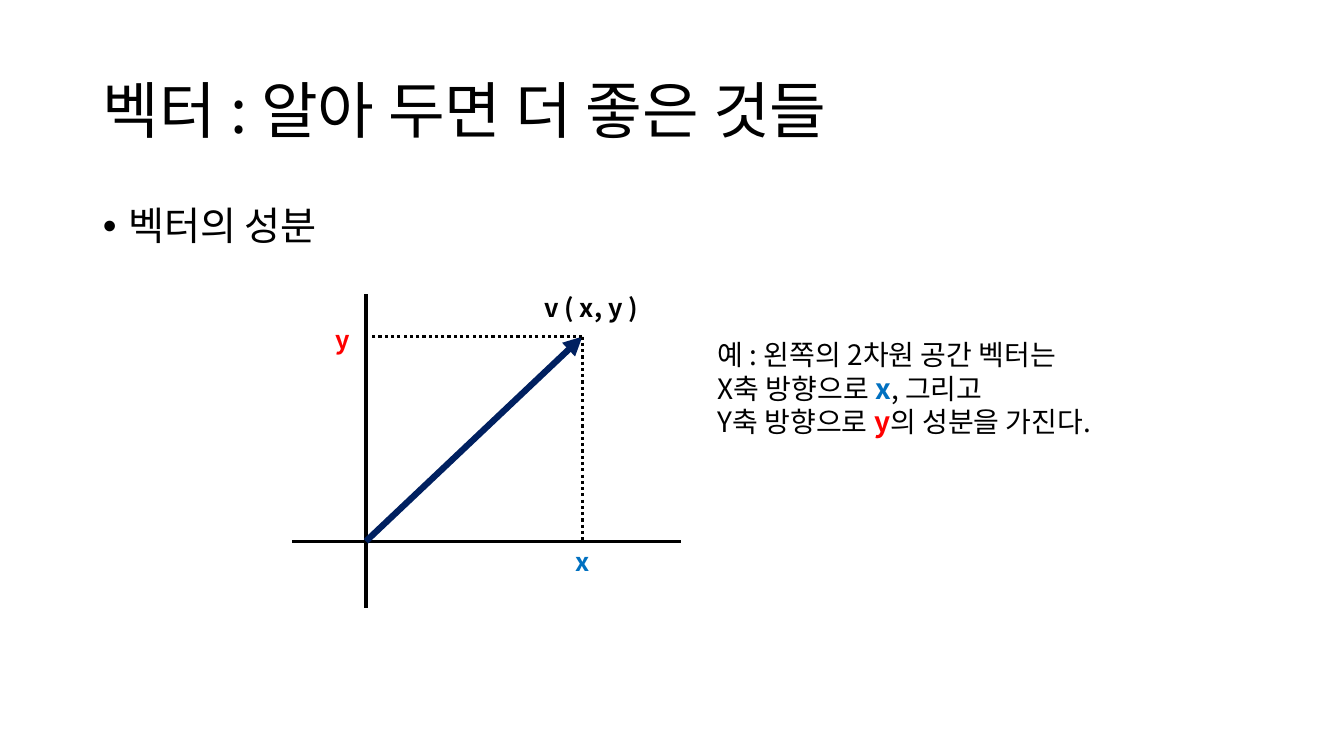
from pptx import Presentation
from pptx.dml.color import RGBColor
from pptx.enum.dml import MSO_LINE
from pptx.enum.shapes import MSO_CONNECTOR
from pptx.enum.text import MSO_ANCHOR, MSO_AUTO_SIZE, PP_ALIGN
from pptx.oxml.ns import qn
from pptx.util import Inches, Pt
from lxml.etree import SubElement

WIDE, HIGH = Inches(13.33), Inches(7.5)
FACE = "Noto Sans CJK KR"
BLACK = RGBColor(0, 0, 0)
NAVY = RGBColor(0x00, 0x20, 0x60)
BLUE = RGBColor(0x00, 0x70, 0xC0)
RED = RGBColor(0xFF, 0, 0)
ROOT_X, ROOT_Y = 27.23, 71.6
TIP_X, TIP_Y = 43.33, 44.53


def across(share):
    """Turn a percentage of the slide width into a length."""
    return int(WIDE * share / 100)


def down(share):
    """Turn a percentage of the slide height into a length."""
    return int(HIGH * share / 100)


def apply(item, form):
    """Set each attribute named in a dict of format values."""
    for name, value in form.items():
        setattr(item, name, value)


def place(shape, x, y, w, h):
    """Move and size a shape by shares of the slide."""
    apply(shape, {"left": across(x), "top": down(y),
                  "width": across(w), "height": down(h)})


def write(par, text, size, color=BLACK, bold=False):
    """Add one formatted run to a paragraph."""
    run = par.add_run()
    run.text = text
    apply(run.font, {"name": FACE, "size": Pt(size), "bold": bold})
    run.font.color.rgb = color
    SubElement(run.font._element, qn("a:ea"), typeface=FACE)


def fill(holder, box, text, size, form):
    """Move a placeholder and give it one line of text."""
    place(holder, *box)
    holder.text_frame.auto_size = MSO_AUTO_SIZE.NONE
    par = holder.text_frame.paragraphs[0]
    apply(par, {"alignment": PP_ALIGN.LEFT, "line_spacing": 0.9, **form})
    write(par, text, size)
    return par


def label(slide, box, lines, size):
    """Add a text box from lines, each a list of runs."""
    shape = slide.shapes.add_textbox(0, 0, 0, 0)
    place(shape, *box)
    frame = shape.text_frame
    apply(frame, {"word_wrap": True,
                  "auto_size": MSO_AUTO_SIZE.SHAPE_TO_FIT_TEXT})
    for order, runs in enumerate(lines):
        par = frame.add_paragraph() if order else frame.paragraphs[0]
        for run in runs:
            write(par, run[0], size, *run[1:])


def stroke(slide, ends, color=BLACK, width=2.25, dash=None, arrow=False):
    """Draw a straight line between two points."""
    x1, y1, x2, y2 = ends
    wire = slide.shapes.add_connector(
        MSO_CONNECTOR.STRAIGHT, across(x1), down(y1), across(x2), down(y2))
    apply(wire.line, {"width": Pt(width), "dash_style": dash})
    wire.line.color.rgb = color
    if arrow:
        SubElement(wire.line._get_or_add_ln(), qn("a:tailEnd"), type="triangle")
    SubElement(wire._element.spPr, qn("a:effectLst"))


def graph(slide):
    """Draw the axes, the vector and its components."""
    stroke(slide, (21.75, ROOT_Y, 50.7, ROOT_Y))
    stroke(slide, (ROOT_X, 80.4, ROOT_X, 38.93))
    stroke(slide, (ROOT_X, ROOT_Y, TIP_X, TIP_Y), NAVY, 4.5, arrow=True)
    for end in ((TIP_X, ROOT_Y), (27.5, TIP_Y)):
        stroke(slide, (TIP_X, TIP_Y, *end), dash=MSO_LINE.ROUND_DOT)
    for box, text, color in (
        ((39.75, 38, 22.95, 5.33), "v ( x, y )", BLACK),
        ((42.08, ROOT_Y, 4.8, 5.6), "x", BLUE),
        ((24.23, 42.27, 8.18, 5.33), "y", RED),
    ):
        label(slide, box, [[(text, color, True)]], 18)


def main():
    """Build and save the slide."""
    deck = Presentation()
    apply(deck, {"slide_width": WIDE, "slide_height": HIGH})
    slide = deck.slides.add_slide(deck.slide_layouts[1])
    title, body = slide.placeholders
    fill(title, (6.9, 5.33, 86.27, 19.33), "벡터 : 알아 두면 더 좋은 것들", 44, {})
    title.text_frame.vertical_anchor = MSO_ANCHOR.MIDDLE
    item = fill(body, (6.9, 26.67, 86.27, 63.47), "벡터의 성분", 28,
                {"space_before": Pt(10)})
    props = item._p.get_or_add_pPr()
    props.set("marL", str(Inches(0.25)))
    props.set("indent", str(Inches(-0.25)))
    SubElement(props, qn("a:buFont"), typeface="Arial")
    SubElement(props, qn("a:buChar"), char="•")
    graph(slide)
    label(slide, (52.65, 44, 37.43, 14.8), [
        [("예 : 왼쪽의 2차원 공간 벡터는",)],
        [("X축 방향으로 ",), ("x", BLUE, True), (", 그리고",)],
        [("Y축 방향으로 ",), ("y", RED, True), ("의 성분을 가진다.",)],
    ], 20)
    deck.save("out.pptx")


if __name__ == "__main__":
    main()
